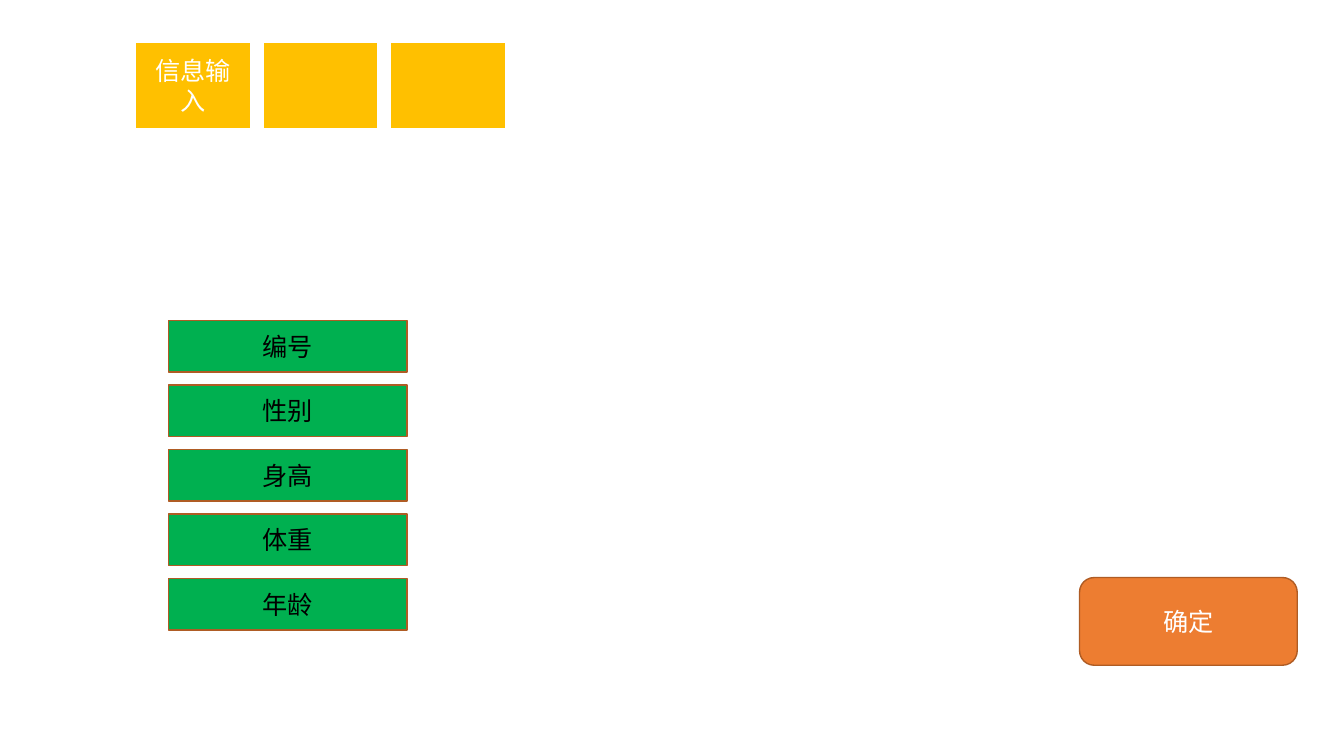
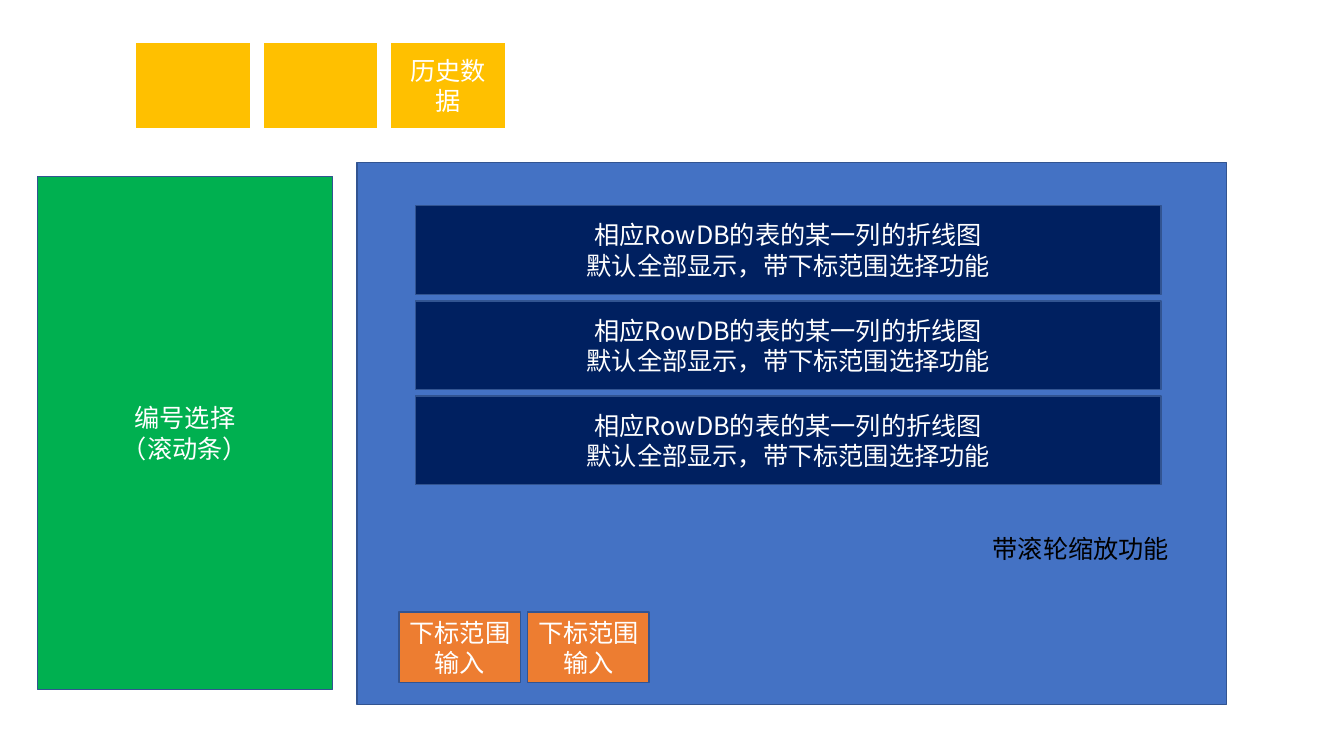
from dataclasses import dataclass, replace
from lxml.etree import SubElement
from pptx import Presentation
from pptx.dml.color import RGBColor as Rgb
from pptx.enum.shapes import MSO_SHAPE as Kind
from pptx.enum.text import MSO_ANCHOR as Anchor, PP_ALIGN as Align
from pptx.oxml.ns import qn
from pptx.util import Inches, Pt

FONT = "Noto Sans CJK SC"
SIZE = 18
UNIT = 0.1  # side of one grid cell, in inches
COLS, ROWS = 133.33, 75
HUES = {
    "white": "FFFFFF", "black": "000000", "gold": "FFC000",
    "green": "00B050", "orange": "ED7D31", "blue": "4472C4",
    "navy": "002060", "rust": "AF5C24", "steel": "325491",
}


@dataclass(frozen=True)
class Box:
    """A filled shape; its place and size are in grid cells."""
    col: float
    row: float
    wide: float
    high: float
    fill: str
    line: str = "steel"
    text: tuple[str, ...] = ()
    ink: str = "white"
    edge: float = 1
    kind: Kind = Kind.RECTANGLE


TAB = Box(13.4, 4.2, 11.5, 8.6, "gold", "white", edge=1.5)
FIELD = Box(16.7, 31.8, 23.7, 5.1, "green", "rust", ink="black")
SURE = Box(107.1, 57.3, 21.6, 8.7, "orange", "rust", ("确定",),
           kind=Kind.ROUNDED_RECTANGLE)
PICK = Box(3.7, 17.5, 29.3, 50.9, "green", text=("编号选择", "（滚动条）"))
PANEL = Box(35.4, 16.1, 86.3, 53.8, "blue")
CHART = Box(41.2, 20.4, 74, 8.8, "navy", text=(
    "相应RowDB的表的某一列的折线图", "默认全部显示，带下标范围选择功能"))
RANGE = Box(39.6, 60.7, 12.05, 7, "orange", text=("下标范围输入",))
FIELDS = ("编号", "性别", "身高", "体重", "年龄")
TABS = 3


def cells(count: float) -> int:
    return Inches(count * UNIT)


def hue(name: str) -> Rgb:
    return Rgb.from_string(HUES[name])


def write(frame, lines: tuple[str, ...], ink: str, align: Align) -> None:
    frame.word_wrap = True
    for num, line in enumerate(lines):
        para = frame.add_paragraph() if num else frame.paragraphs[0]
        para.alignment = align
        run = para.add_run()
        run.text = line
        run.font.size = Pt(SIZE)
        run.font.name = FONT
        run.font.color.rgb = hue(ink)
        SubElement(run.font._element, qn("a:ea"), typeface=FONT)


def draw(shapes, box: Box) -> None:
    shape = shapes.add_shape(
        box.kind, *map(cells, (box.col, box.row, box.wide, box.high)))
    shape.shadow.inherit = False
    shape.fill.solid()
    shape.fill.fore_color.rgb = hue(box.fill)
    shape.line.color.rgb = hue(box.line)
    shape.line.width = Pt(box.edge)
    shape.text_frame.vertical_anchor = Anchor.MIDDLE
    write(shape.text_frame, box.text, box.ink, Align.CENTER)


def spread(box: Box, texts: list[tuple[str, ...]],
           right: float = 0, down: float = 0) -> list[Box]:
    """Repeat a box once per text, at an equal step."""
    return [replace(box, col=box.col + num * right,
                    row=box.row + num * down, text=text)
            for num, text in enumerate(texts)]


def group(slide, boxes: list[Box]) -> None:
    shapes = slide.shapes.add_group_shape().shapes
    for box in boxes:
        draw(shapes, box)


def tabs(slide, live: int, name: str) -> None:
    """Draw the tab row, with a name on the live tab only."""
    texts = [(name,) if num == live else () for num in range(TABS)]
    group(slide, spread(TAB, texts, right=12.65))


def entry(slide) -> None:
    group(slide, spread(FIELD, [(name,) for name in FIELDS], down=6.4))
    draw(slide.shapes, SURE)
    tabs(slide, 0, "信息输入")


def history(slide) -> None:
    tabs(slide, 2, "历史数据")
    for box in (PICK, PANEL,
                *spread(CHART, [CHART.text] * 3, down=9.45),
                *spread(RANGE, [RANGE.text] * 2, right=12.75)):
        draw(slide.shapes, box)
    note = slide.shapes.add_textbox(*map(cells, (97.5, 52.4, 21.4, 4)))
    write(note.text_frame, ("带滚轮缩放功能",), "black", Align.LEFT)


def main() -> None:
    deck = Presentation()
    deck.slide_width, deck.slide_height = cells(COLS), cells(ROWS)
    blank = deck.slide_layouts[6]
    for build in (entry, history):
        build(deck.slides.add_slide(blank))
    deck.save("out.pptx")


if __name__ == "__main__":
    main()
